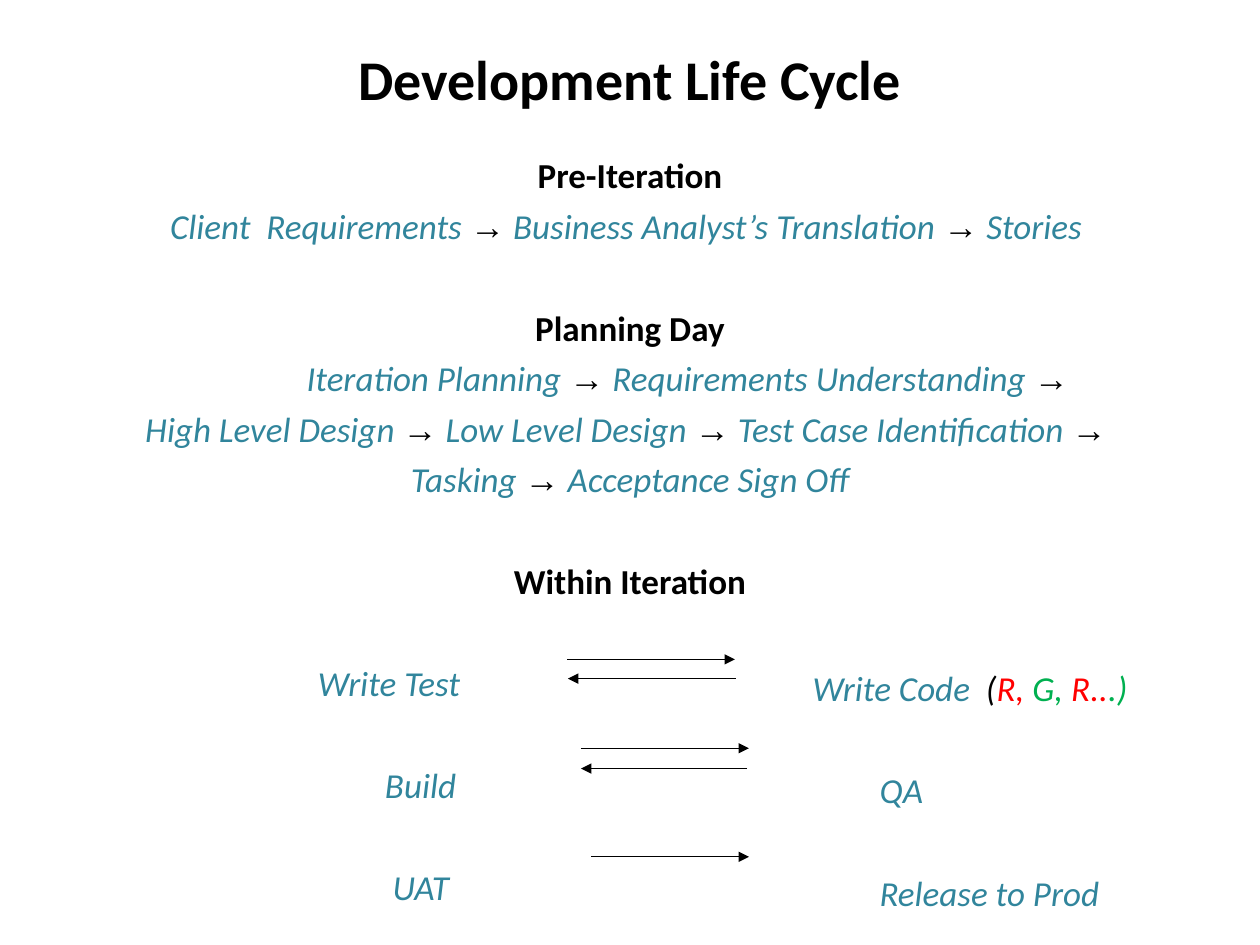
from dataclasses import dataclass

from lxml import etree
from pptx import Presentation
from pptx import util as u
from pptx.dml import color
from pptx.enum import shapes, text
from pptx.oxml import ns

COLORS = {
    "black": "000000",
    "teal": "31859C",
    "red": "FF0000",
    "green": "00B050",
}
LINE_GAP = 4.9      # space above an ordinary line
SECTION_GAP = 34.2  # space above a line that follows one open line
ROW_TOP = 380.7     # top of the first activity row
ROW_PITCH = 58.6


@dataclass
class Line:
    spans: list
    gap: float = LINE_GAP
    indent: float | None = None  # None centres the line


@dataclass
class Activity:
    name: str
    indent: float
    partner: list
    partner_left: float


@dataclass
class Arrow:
    start: float
    end: float
    y: float


def add_span(para, words: str, *, size: float = 20, hue: str = "black",
             font: str = "Calibri", bold: bool = False, italic: bool = False) -> None:
    span = para.add_run()
    span.text = words
    span.font.name = font
    span.font.size = u.Pt(size)
    span.font.bold = bold
    span.font.italic = italic
    span.font.color.rgb = color.RGBColor.from_string(COLORS[hue])


def set_frame(frame, anchor, side: float = 7.2, edge: float = 3.6) -> None:
    frame.auto_size = text.MSO_AUTO_SIZE.NONE
    frame.word_wrap = True
    frame.vertical_anchor = anchor
    frame.margin_left = frame.margin_right = u.Pt(side)
    frame.margin_top = frame.margin_bottom = u.Pt(edge)


def place(box, left: float, top: float, width: float, height: float) -> None:
    box.left, box.top = u.Pt(left), u.Pt(top)
    box.width, box.height = u.Pt(width), u.Pt(height)


def heading(words: str, gap: float = SECTION_GAP) -> Line:
    return Line([(words, {"bold": True})], gap)


def step(words: str, hue: str = "teal") -> tuple:
    return words, {"hue": hue, "italic": True}


def flow(*steps: str, more: bool = False, indent: float | None = None) -> Line:
    """Steps joined by arrows; more adds an arrow at the end."""
    spans = []
    for index, words in enumerate(steps):
        spans.append(step(words))
        if more or index < len(steps) - 1:
            spans += [("→", {"font": "Arial"}), (" ", {})]
    return Line(spans, indent=indent)


def write_line(para, line: Line) -> None:
    centred = line.indent is None
    para.alignment = text.PP_ALIGN.CENTER if centred else text.PP_ALIGN.LEFT
    para.space_before = u.Pt(line.gap)
    props = para._p.get_or_add_pPr()
    props.set("marL", str(u.Pt(line.indent or 0)))
    props.set("indent", "0")
    etree.SubElement(props, ns.qn("a:buNone"))
    for words, style in line.spans:
        add_span(para, words, **style)


def draw_partner(page, activity: Activity, top: float) -> None:
    box = page.shapes.add_textbox(u.Pt(activity.partner_left), u.Pt(top),
                                  u.Pt(200), u.Pt(24.4))
    set_frame(box.text_frame, text.MSO_ANCHOR.TOP, side=0, edge=0)
    write_line(box.text_frame.paragraphs[0], Line(activity.partner, gap=0, indent=0))


def draw_arrow(page, arrow: Arrow) -> None:
    connector = page.shapes.add_connector(
        shapes.MSO_CONNECTOR.STRAIGHT, u.Pt(arrow.start), u.Pt(arrow.y),
        u.Pt(arrow.end), u.Pt(arrow.y))
    connector.line.color.rgb = color.RGBColor.from_string(COLORS["black"])
    connector.line.width = u.Pt(0.75)
    etree.SubElement(connector.line._get_or_add_ln(), ns.qn("a:tailEnd"), type="triangle")
    etree.SubElement(connector._element.spPr, ns.qn("a:effectLst"))


ACTIVITIES = [
    Activity("Write Test", 138.5,
             [step("Write Code  "), step("(", "black"), step("R, ", "red"),
              step("G, ", "green"), step("R..", "red"), step(".)", "green")], 464.4),
    Activity("Build", 176.8, [step("QA")], 502.6),
    Activity("UAT", 181.2, [step("Release to Prod")], 502.6),
]

LINES = [
    heading("Pre-Iteration", gap=0),
    flow("Client  Requirements ", "Business Analyst’s Translation ", "Stories "),
    heading("Planning Day"),
    flow("Iteration Planning ", "Requirements Understanding ", more=True, indent=132),
    flow("High Level Design ", "Low Level Design ", "Test Case Identification ", more=True),
    flow("Tasking ", "Acceptance Sign Off"),
    heading("Within Iteration"),
    *(Line([step(activity.name)], SECTION_GAP, activity.indent) for activity in ACTIVITIES),
]

ARROWS = [
    Arrow(324, 420, 376.8),
    Arrow(420.5, 324.5, 387.8),
    Arrow(332, 428, 427.6),
    Arrow(427, 332, 439.2),
    Arrow(338, 428, 489.6),
]


def main() -> None:
    deck = Presentation()
    deck.slide_width, deck.slide_height = u.Pt(720), u.Pt(540)
    page = deck.slides.add_slide(deck.slide_layouts[1])

    # Title
    title = page.shapes.title
    place(title, 36, 21.6, 648, 46)
    set_frame(title.text_frame, text.MSO_ANCHOR.MIDDLE)
    title_para = title.text_frame.paragraphs[0]
    title_para.alignment = text.PP_ALIGN.CENTER
    add_span(title_para, "Development Life Cycle", size=32, bold=True)

    # Phases and their steps
    body = page.placeholders[1]
    place(body, 36, 84.2, 648, 455.8)
    frame = body.text_frame
    set_frame(frame, text.MSO_ANCHOR.TOP)
    for index, line in enumerate(LINES):
        write_line(frame.add_paragraph() if index else frame.paragraphs[0], line)

    # Activities on the right and the arrows between the pairs
    for index, activity in enumerate(ACTIVITIES):
        draw_partner(page, activity, ROW_TOP + index * ROW_PITCH)
    for arrow in ARROWS:
        draw_arrow(page, arrow)

    deck.save("out.pptx")


if __name__ == "__main__":
    main()
